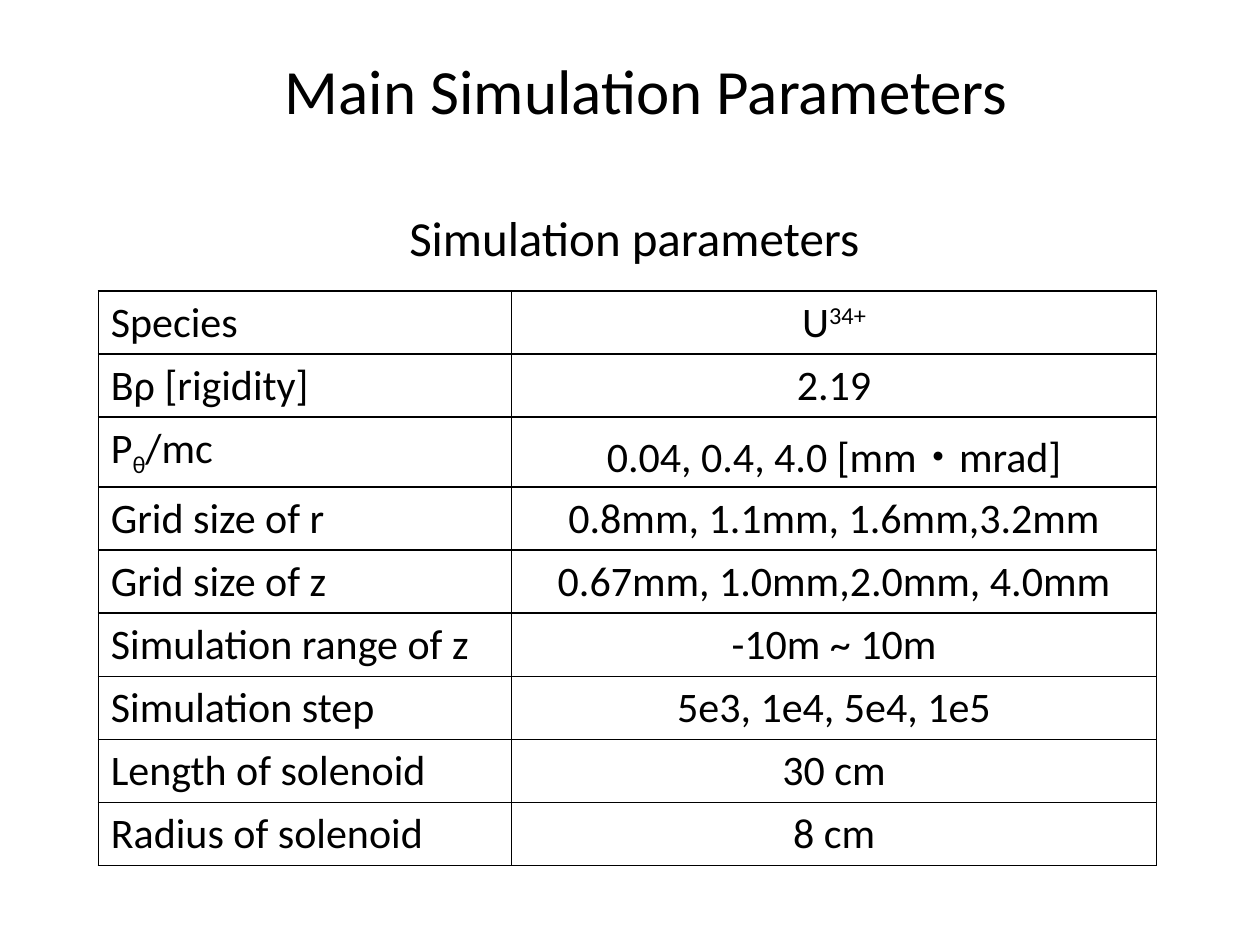
from lxml.etree import SubElement
from pptx import Presentation
from pptx.dml.color import RGBColor
from pptx.enum.text import MSO_ANCHOR, PP_ALIGN
from pptx.oxml.ns import qn
from pptx.util import Inches, Pt

BLACK = RGBColor(0, 0, 0)
SLIDE_WIDTH, SLIDE_HEIGHT = Inches(10), Inches(7.5)

FONT_NAME = "Calibri"
TITLE_SIZE, CAPTION_SIZE, CELL_SIZE = 36, 28, 24
COLUMN_WIDTHS = (3.28, 5.12)
ROW_HEIGHT = 0.41
SUPERSCRIPT, SUBSCRIPT = 30, -25

# A cell is a list of runs; a run is a string or a (string, baseline shift) pair.
PARAMETERS = [
    (["Species"], ["U", ("34+", SUPERSCRIPT)]),
    (["Bρ [rigidity]"], ["2.19"]),
    (["P", ("θ", SUBSCRIPT), "/mc"], ["0.04, 0.4, 4.0 [mm・mrad]"]),
    (["Grid size of r"], ["0.8mm, 1.1mm, 1.6mm,3.2mm"]),
    (["Grid size of z"], ["0.67mm, 1.0mm,2.0mm, 4.0mm"]),
    (["Simulation range of z"], ["-10m ~ 10m"]),
    (["Simulation step"], ["5e3, 1e4, 5e4, 1e5"]),
    (["Length of solenoid"], ["30 cm"]),
    (["Radius of solenoid"], ["8 cm"]),
]


def set_attributes(target, values):
    for name, value in values.items():
        setattr(target, name, value)


def write_runs(paragraph, runs, size, alignment=PP_ALIGN.LEFT):
    paragraph.alignment = alignment
    for item in runs:
        text, baseline = (item, 0) if isinstance(item, str) else item
        run = paragraph.add_run()
        run.text = text
        set_attributes(run.font, {"name": FONT_NAME, "size": Pt(size)})
        run.font.color.rgb = BLACK
        if baseline:
            run._r.get_or_add_rPr().set("baseline", str(baseline * 1000))


def write_heading(shape, text, size, box):
    """Place a shape at box (left, top, width, height in inches) with one line."""
    set_attributes(shape, dict(zip(("left", "top", "width", "height"), map(Inches, box))))
    set_attributes(shape.text_frame, {
        "word_wrap": False,
        "vertical_anchor": MSO_ANCHOR.TOP,
        "margin_left": Inches(0.1),
        "margin_right": Inches(0.1),
        "margin_top": Inches(0.05),
        "margin_bottom": Inches(0.05),
    })
    write_runs(shape.text_frame.paragraphs[0], [text], size)


def add_borders(cell, width=1):
    properties = cell._tc.get_or_add_tcPr()
    for side in ("lnL", "lnR", "lnT", "lnB"):
        line = SubElement(properties, qn(f"a:{side}"), w=str(Pt(width)))
        fill = SubElement(line, qn("a:solidFill"))
        SubElement(fill, qn("a:srgbClr"), val=str(BLACK))


def add_parameter_table(slide, left, top):
    row_count = len(PARAMETERS)
    table = slide.shapes.add_table(
        row_count, len(COLUMN_WIDTHS), Inches(left), Inches(top),
        Inches(sum(COLUMN_WIDTHS)), Inches(ROW_HEIGHT * row_count)).table
    set_attributes(table, {"first_row": False, "horz_banding": False})
    for column, width in zip(table.columns, COLUMN_WIDTHS):
        column.width = Inches(width)
    for row, contents in zip(table.rows, PARAMETERS):
        row.height = Inches(ROW_HEIGHT)
        for cell, runs, alignment in zip(row.cells, contents, (PP_ALIGN.LEFT, PP_ALIGN.CENTER)):
            add_borders(cell)
            cell.fill.background()
            write_runs(cell.text_frame.paragraphs[0], runs, CELL_SIZE, alignment)


def main():
    presentation = Presentation()
    set_attributes(presentation, {"slide_width": SLIDE_WIDTH, "slide_height": SLIDE_HEIGHT})
    slide = presentation.slides.add_slide(presentation.slide_layouts.get_by_name("Title Only"))
    write_heading(slide.shapes.title, "Main Simulation Parameters", TITLE_SIZE,
                  (2.16, 0.36, 6.04, 0.71))
    caption = slide.shapes.add_textbox(0, 0, 0, 0)
    write_heading(caption, "Simulation parameters", CAPTION_SIZE, (3.15, 1.6, 3.84, 0.57))
    add_parameter_table(slide, left=0.78, top=2.31)
    presentation.save("out.pptx")


if __name__ == "__main__":
    main()
